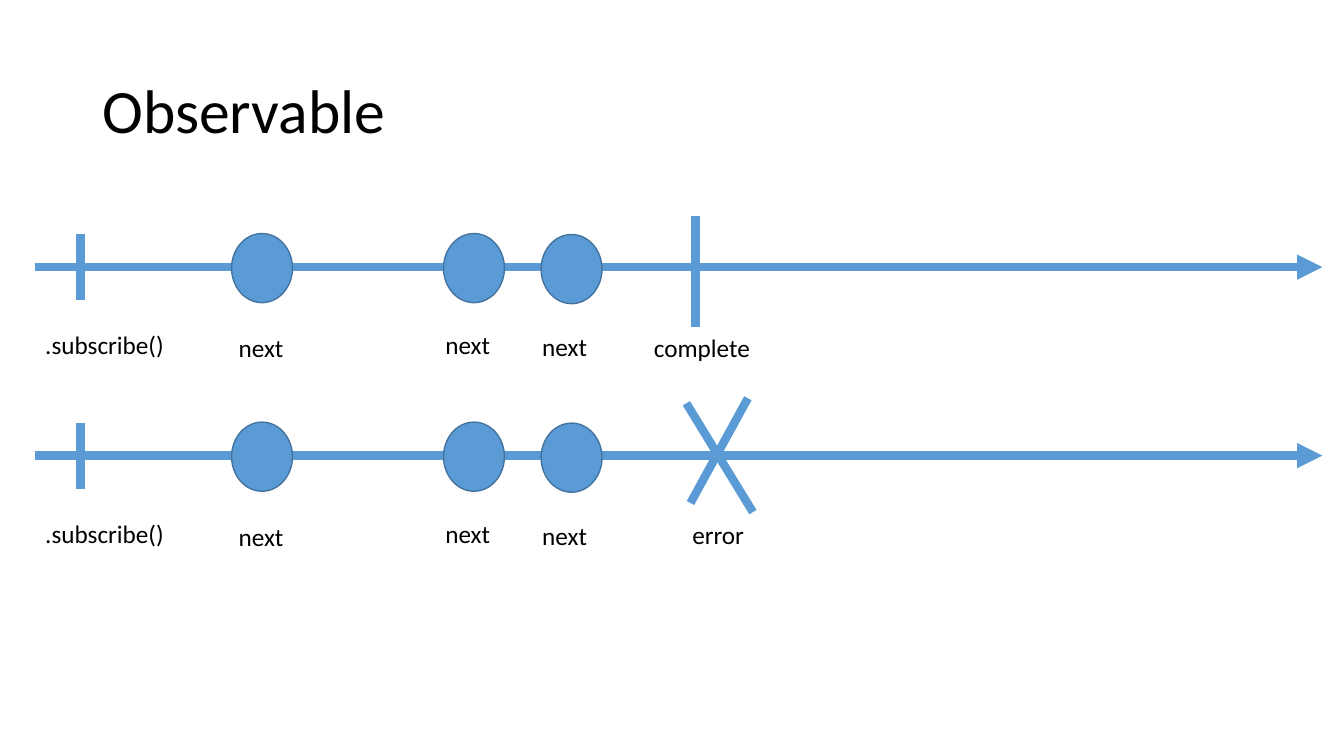
from dataclasses import dataclass

from lxml import etree
from pptx import Presentation
from pptx.dml.color import RGBColor
from pptx.enum.shapes import MSO_CONNECTOR, MSO_SHAPE
from pptx.enum.text import MSO_ANCHOR, MSO_AUTO_SIZE
from pptx.oxml.ns import qn
from pptx.util import Pt


@dataclass(frozen=True)
class Theme:
    """Colours, font and sizes of the slide."""
    blue: RGBColor = RGBColor(0x5B, 0x9B, 0xD5)
    outline: RGBColor = RGBColor(0x43, 0x73, 0x9E)
    text: RGBColor = RGBColor(0, 0, 0)
    font: str = "Calibri"
    title_size: int = 44
    label_size: int = 18
    stroke: int = 6


class MarbleSlide:
    """Draws the elements of a marble diagram on one slide."""

    def __init__(self, slide, theme):
        """Keep the slide and its theme."""
        self.slide = slide
        self.theme = theme

    def text(self, words, left, top, width, height, size):
        """Add a text box and return its frame."""
        box = self.slide.shapes.add_textbox(
            Pt(left), Pt(top), Pt(width), Pt(height))
        frame = box.text_frame
        run = frame.paragraphs[0].add_run()
        run.text = words
        run.font.name = self.theme.font
        run.font.size = Pt(size)
        run.font.color.rgb = self.theme.text
        return frame

    def title(self, words):
        """Add the slide title."""
        frame = self.text(words, 66, 28.75, 828, 104.4, self.theme.title_size)
        frame.word_wrap = True
        frame.vertical_anchor = MSO_ANCHOR.MIDDLE
        frame.paragraphs[0].line_spacing = 0.9

    def label(self, words, left, top, width):
        """Add a one-line label that fits its text."""
        frame = self.text(words, left, top, width, 29.1, self.theme.label_size)
        frame.word_wrap = False
        frame.auto_size = MSO_AUTO_SIZE.SHAPE_TO_FIT_TEXT

    def line(self, x1, y1, x2, y2, arrow=False):
        """Add a thick line, with an arrowhead at its end if asked."""
        connector = self.slide.shapes.add_connector(
            MSO_CONNECTOR.STRAIGHT, Pt(x1), Pt(y1), Pt(x2), Pt(y2))
        connector.line.color.rgb = self.theme.blue
        connector.line.width = Pt(self.theme.stroke)
        if arrow:
            etree.SubElement(connector.line._ln, qn("a:tailEnd"),
                             type="triangle")
        etree.SubElement(connector._element.spPr, qn("a:effectLst"))

    def marble(self, left, top):
        """Add the ellipse of one emitted value."""
        oval = self.slide.shapes.add_shape(
            MSO_SHAPE.OVAL, Pt(left), Pt(top), Pt(43.5), Pt(49.4))
        oval.shadow.inherit = False
        oval.fill.solid()
        oval.fill.fore_color.rgb = self.theme.blue
        oval.line.color.rgb = self.theme.outline
        oval.line.width = Pt(1)

    def timeline(self, axis, end_label, end_strokes):
        """Add a stream: its arrow, subscription, values and ending."""
        self.line(25.2, axis, 944.6, axis, arrow=True)
        self.line(57.6, axis - 23.3, 57.6, axis + 23.7)
        for left, rise in MARBLES:
            self.marble(left, axis + rise)
        for words, left, drop, width in LABELS + [end_label]:
            self.label(words, left, axis + drop, width)
        for x1, y1, x2, y2 in end_strokes:
            self.line(x1, axis + y1, x2, axis + y2)


# Vertical positions are offsets from the axis of a timeline.
MARBLES = [(165.4, -24), (316.8, -24), (386.5, -23.3)]
LABELS = [
    (".subscribe()", 25.2, 41, 100),
    ("next", 163.4, 43.2, 46.8),
    ("next", 311, 41, 46.8),
    ("next", 380.2, 42.5, 46.8),
]
COMPLETE_BAR = [(496.8, -36.3, 496.8, 43)]
ERROR_CROSS = [(490.3, -37.4, 537.8, 40.3), (534.2, -41, 493.2, 33.8)]


def main():
    """Build and save the slide."""
    deck = Presentation()
    deck.slide_width, deck.slide_height = Pt(960), Pt(540)
    page = MarbleSlide(deck.slides.add_slide(deck.slide_layouts[6]), Theme())
    page.title("Observable")
    page.timeline(190.8, ("complete", 460, 43.2, 84.2), COMPLETE_BAR)
    page.timeline(325.5, ("error", 487.4, 42.2, 51.8), ERROR_CROSS)
    deck.save("out.pptx")


main()
